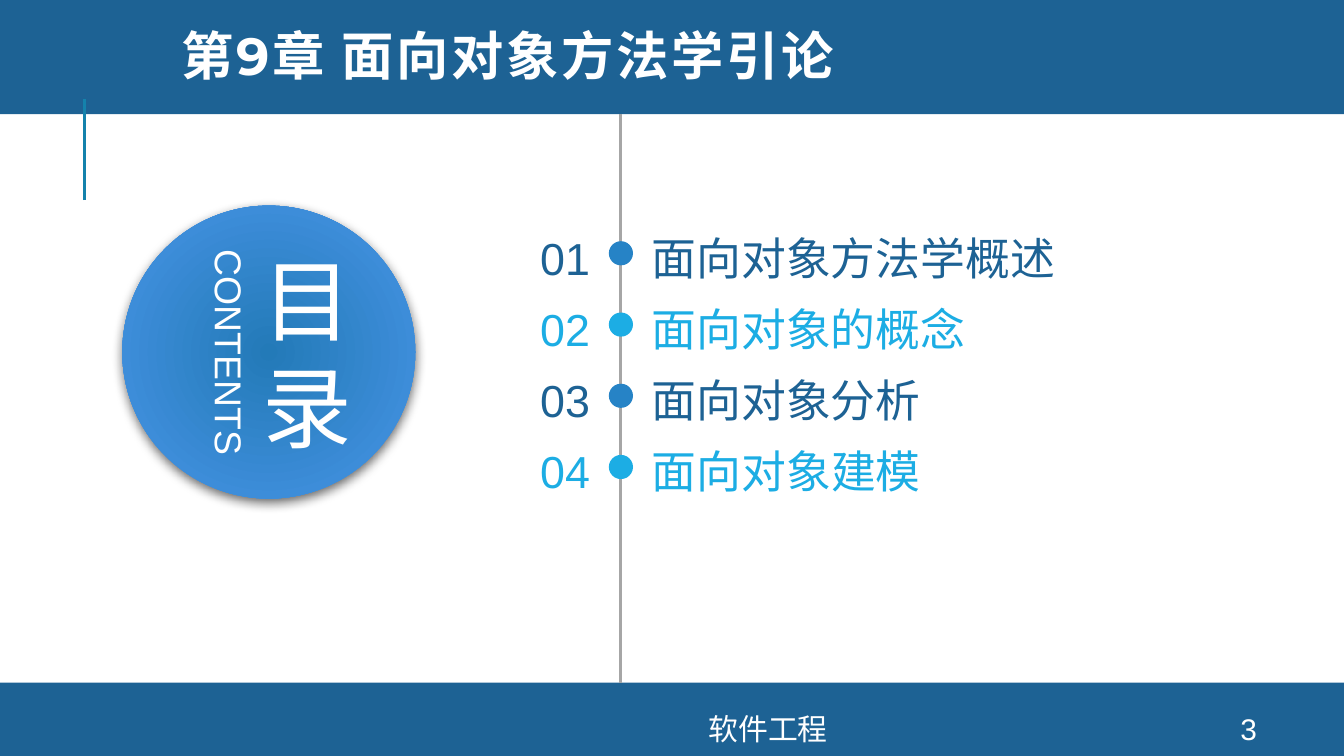
from lxml import etree
from pptx import Presentation
from pptx.dml.color import RGBColor
from pptx.enum.shapes import MSO_CONNECTOR as Connector, MSO_SHAPE as Shape
from pptx.enum.text import MSO_ANCHOR as Anchor, PP_ALIGN as Align
from pptx.oxml import parse_xml
from pptx.oxml.ns import nsdecls, qn
from pptx.util import Inches, Pt

NAVY, BLUE, SKY, WHITE = "1D6294", "2683C6", "1CADE4", "FFFFFF"
WIDTH = 10
HEIGHT = WIDTH * 9 / 16
HEADER_BOTTOM, FOOTER_TOP = 0.85, 5.08
AXIS = 4.62


def color(value):
    """Turn a hex string into a colour."""
    return RGBColor.from_string(value)


def add_solid(page, kind, left, top, width, height, fill):
    """Add a flat shape without an outline."""
    shape = page.shapes.add_shape(
        kind, Inches(left), Inches(top), Inches(width), Inches(height))
    shape.shadow.inherit = False
    shape.fill.solid()
    shape.fill.fore_color.rgb = color(fill)
    shape.line.fill.background()
    return shape


def add_vertical(page, x, top, bottom, stroke):
    """Add a vertical line."""
    line = page.shapes.add_connector(
        Connector.STRAIGHT, Inches(x), Inches(top), Inches(x), Inches(bottom))
    line.line.color.rgb = color(stroke)
    line.line.width = Pt(1.5)
    etree.SubElement(line._element.spPr, qn("a:effectLst"))


def add_text(page, left, top, width, height, text, size, fill=WHITE,
             align=Align.CENTER, anchor=Anchor.TOP, inset=True,
             font="Arial", bold=False, spacing=0):
    """Add a text box with one style for all its paragraphs."""
    box = page.shapes.add_textbox(
        Inches(left), Inches(top), Inches(width), Inches(height))
    frame = box.text_frame
    frame.word_wrap = True
    frame.vertical_anchor = anchor
    if not inset:
        frame.margin_left = frame.margin_right = 0
        frame.margin_top = frame.margin_bottom = 0
    frame.text = text
    for para in frame.paragraphs:
        para.alignment = align
        for span in para.runs:
            span.font.size = Pt(size)
            span.font.name = font
            span.font.bold = bold
            span.font.color.rgb = color(fill)
            if spacing:
                span._r.get_or_add_rPr().set("spc", str(int(spacing * 100)))
    return box


def add_frame(page):
    """Draw the header and footer bands and the two rules."""
    add_solid(page, Shape.RECTANGLE, 0, -0.03, WIDTH, HEADER_BOTTOM + 0.03, NAVY)
    add_solid(page, Shape.RECTANGLE, 0, FOOTER_TOP, WIDTH, HEIGHT - FOOTER_TOP, NAVY)
    add_vertical(page, 0.63, 1.49, 0.74, "1482AC")
    add_vertical(page, AXIS, HEADER_BOTTOM, FOOTER_TOP, "A6A6A6")


def add_badge(page, left, top, size):
    """Draw the shaded contents disc with its two labels."""
    disc = add_solid(page, Shape.OVAL, left, top, size, size, BLUE)
    disc.fill.gradient()
    for stop, value in zip(disc.fill.gradient_stops, ("237AB8", "4895E7")):
        stop.color.rgb = color(value)
    properties = disc._element.spPr
    gradient = properties.find(qn("a:gradFill"))
    gradient.remove(gradient.find(qn("a:lin")))
    gradient.append(parse_xml(
        f'<a:path {nsdecls("a")} path="circle"><a:fillToRect l="100000" '
        't="100000" r="100000" b="100000"/></a:path>'))
    properties.find(qn("a:effectLst")).append(parse_xml(
        f'<a:outerShdw {nsdecls("a")} blurRad="{Pt(6)}" dist="{Pt(2)}" '
        'dir="5400000" algn="t" rotWithShape="0"><a:srgbClr val="000000">'
        '<a:alpha val="60000"/></a:srgbClr></a:outerShdw>'))
    add_text(page, left + 0.67, top + 0.08, 1.41, 2.02, "目\n录", 48,
             anchor=Anchor.MIDDLE, inset=False, spacing=6)
    label = add_text(page, left - 0.26, top + 0.87, 2.11, 0.44, "CONTENTS", 20)
    label.rotation = 90


def add_agenda(page, left, top, pitch, topics):
    """List the numbered topics along the vertical axis."""
    dot = 0.18
    for index, topic in enumerate(topics):
        y = top + index * pitch
        dot_fill, text_fill = ((BLUE, NAVY), (SKY, SKY))[index % 2]
        add_solid(page, Shape.OVAL, AXIS - dot / 2, y + 0.08, dot, dot, dot_fill)
        add_text(page, left, y, 0.59, 0.4, f"{index + 1:02}", 24, text_fill,
                 Align.RIGHT, inset=False)
        width = 4.01 if index == len(topics) - 1 else 3.37
        add_text(page, left + 1.05, y, width, 0.4, topic, 24, text_fill,
                 Align.LEFT, inset=False)


def add_footer(page, top):
    """Write the course name and the page number."""
    for left, width, text in ((2.61, 6.21, "软件工程"), (8.89, 0.8, "3")):
        add_text(page, left, top, width, 0.23, text, 16, anchor=Anchor.MIDDLE)


def add_title(page, left, top, width, height):
    """Write the chapter title in the header band."""
    title = add_text(page, left, top, width, height, "第9章 面向对象方法学引论", 28,
                     align=Align.LEFT, anchor=Anchor.MIDDLE,
                     font="Montserrat", bold=True, spacing=1.5)
    title.text_frame.paragraphs[0].line_spacing = 0.8


def main():
    """Build the contents slide."""
    deck = Presentation()
    deck.slide_width, deck.slide_height = Inches(WIDTH), Inches(HEIGHT)
    page = deck.slides.add_slide(deck.slide_layouts[6])
    add_frame(page)
    add_badge(page, 0.91, 1.53, 2.18)
    add_footer(page, 5.31)
    add_agenda(page, 3.8, 1.715, 0.53, (
        "面向对象方法学概述", "面向对象的概念", "面向对象分析", "面向对象建模"))
    add_title(page, 1.25, 0.09, 8.26, 0.72)
    deck.save("out.pptx")


if __name__ == "__main__":
    main()
